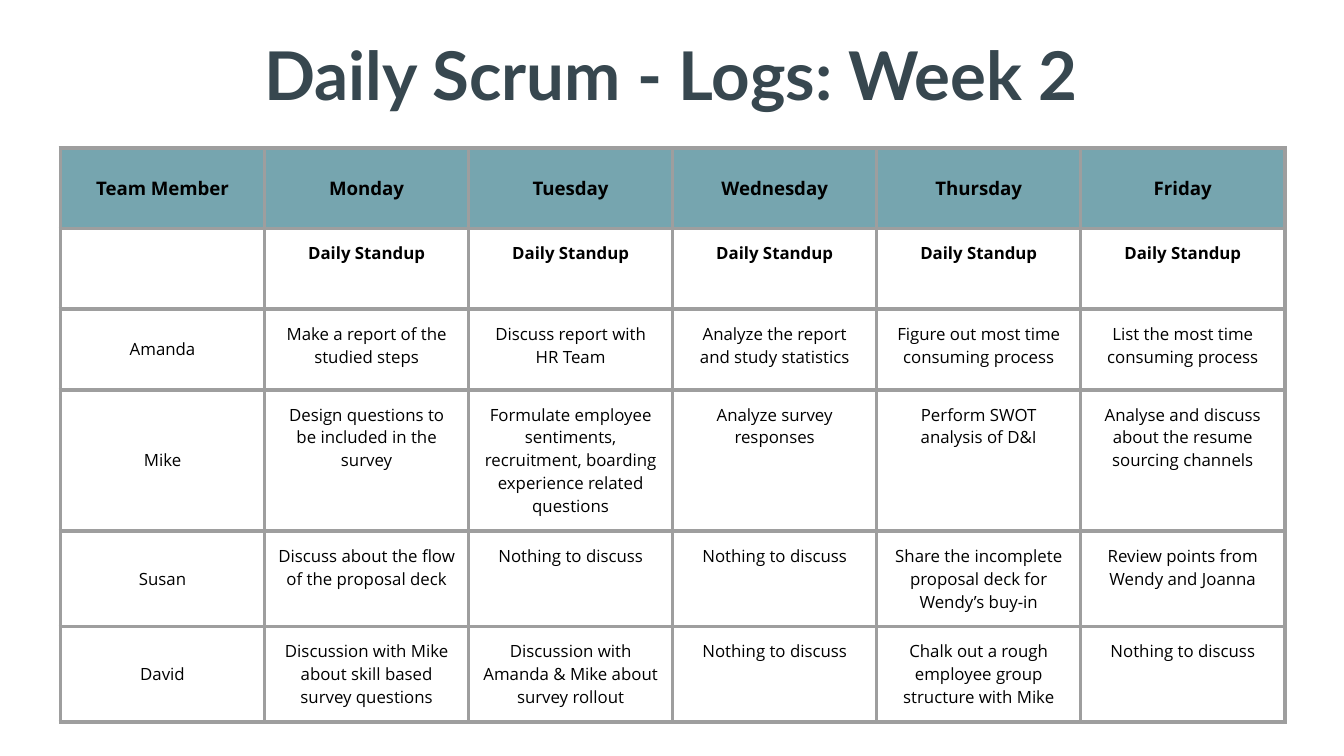
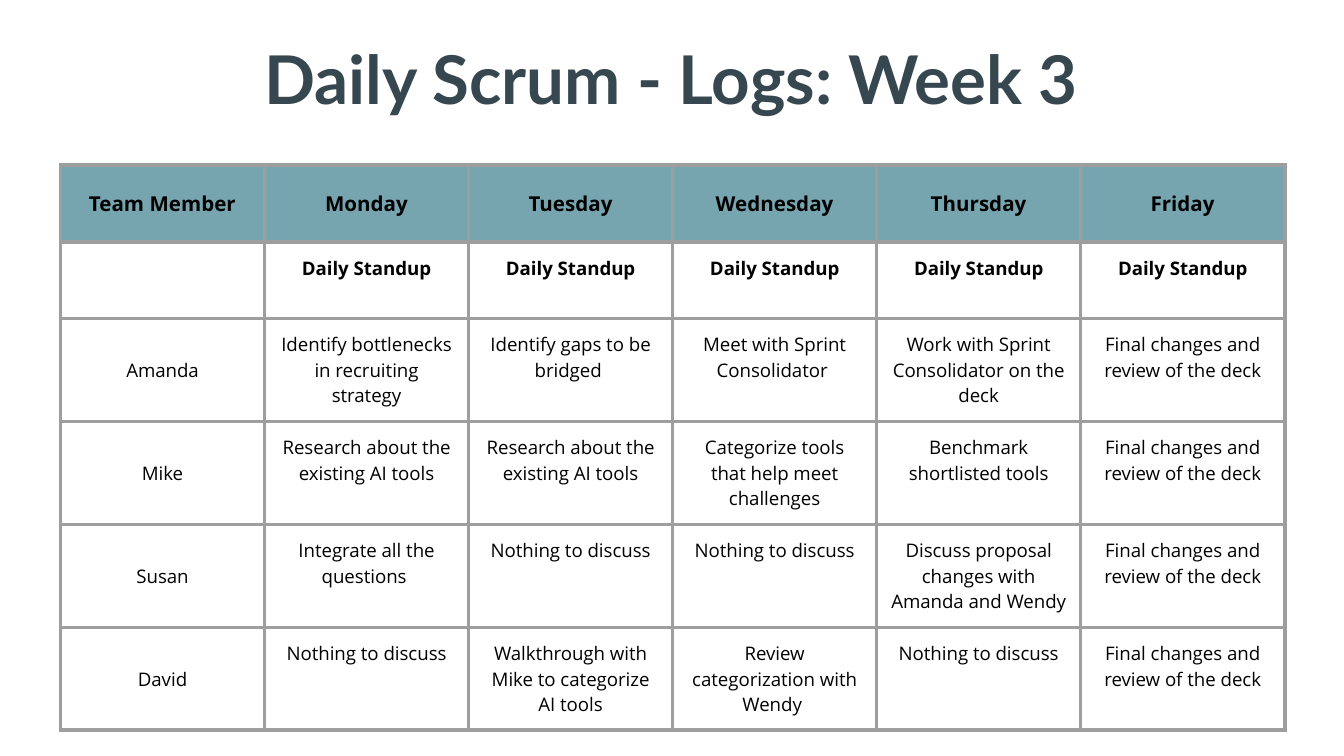
from pptx import Presentation
from pptx.dml.color import RGBColor
from pptx.enum.text import MSO_ANCHOR, MSO_AUTO_SIZE, PP_ALIGN
from pptx.oxml import parse_xml
from pptx.oxml.ns import nsdecls
from pptx.util import Inches, Pt

SLATE, TEAL, GREY, BLACK = "37474F", "76A5AF", "9E9E9E", "000000"
BORDER_WIDTH = Pt(2.25)
TABLE_WIDTH = 9.11
MARGINS = {f"margin_{side}": Inches(0.1) for side in ("left", "top", "right", "bottom")}

HEADER = ["Team Member", "Monday", "Tuesday", "Wednesday", "Thursday", "Friday"]
STANDUP = [""] + ["Daily Standup"] * 5
NOTHING = "Nothing to discuss"
FINAL = "Final changes and review of the deck"

weeks = [
    {
        "title": "Daily Scrum - Logs: Week 2",
        "title_top": 0.08,
        "table_top": 1.1,
        "table_height": 4.09,
        "row_heights": [0.6, 0.6, 0.6, 0.97, 0.66, 0.66],
        "header_size": 10,
        "body_size": 9,
        "logs": [
            ["Amanda", "Make a report of the studied steps",
             "Discuss report with HR Team",
             "Analyze the report and study statistics",
             "Figure out most time consuming process",
             "List the most time consuming process"],
            ["Mike", "Design questions to be included in the survey",
             "Formulate employee sentiments, recruitment, boarding experience related questions",
             "Analyze survey responses",
             "Perform SWOT analysis of D&I",
             "Analyse and discuss about the resume sourcing channels"],
            ["Susan", "Discuss about the flow of the proposal deck",
             NOTHING, NOTHING,
             "Share the incomplete proposal deck for Wendy’s buy-in",
             "Review points from Wendy and Joanna"],
            ["David", "Discussion with Mike about skill based survey questions",
             "Discussion with Amanda & Mike about survey rollout",
             NOTHING,
             "Chalk out a rough employee group structure with Mike",
             NOTHING],
        ],
    },
    {
        "title": "Daily Scrum - Logs: Week 3",
        "title_top": 0.11,
        "table_top": 1.23,
        "table_height": 3.95,
        "row_heights": [0.57] * 6,
        "header_size": 11,
        "body_size": 10,
        "logs": [
            ["Amanda", "Identify bottlenecks in recruiting strategy",
             "Identify gaps to be bridged ",
             "Meet with Sprint Consolidator ",
             "Work with Sprint Consolidator on the deck", FINAL],
            ["Mike", "Research about the existing AI tools",
             "Research about the existing AI tools",
             "Categorize tools that help meet challenges",
             "Benchmark shortlisted tools", FINAL],
            ["Susan", "Integrate all the questions ", NOTHING, NOTHING,
             "Discuss proposal changes with Amanda and Wendy", FINAL],
            ["David", NOTHING, "Walkthrough with Mike to categorize AI tools",
             "Review categorization with Wendy ", NOTHING, FINAL],
        ],
    },
]


def write(frame, text, color, **font_format):
    para = frame.paragraphs[0]
    para.alignment = PP_ALIGN.CENTER
    if not text:
        return
    span = para.add_run()
    span.text = text
    for name, value in font_format.items():
        setattr(span.font, name, value)
    span.font.color.rgb = RGBColor.from_string(color)


def add_borders(cell):
    properties = cell._tc.get_or_add_tcPr()
    for side in "LRTB":
        properties.append(parse_xml(
            f'<a:ln{side} {nsdecls("a")} w="{BORDER_WIDTH}"><a:solidFill>'
            f'<a:srgbClr val="{GREY}"/></a:solidFill></a:ln{side}>'))


deck = Presentation()
deck.slide_width, deck.slide_height = Inches(10), Inches(10 * 9 / 16)

for week in weeks:
    page = deck.slides.add_slide(deck.slide_layouts[5])

    title = page.shapes.title
    title_place = {"left": 0.16, "top": week["title_top"], "width": 9.67, "height": 0.93}
    for name, value in title_place.items():
        setattr(title, name, Inches(value))
    frame_format = {"word_wrap": True, "auto_size": MSO_AUTO_SIZE.NONE,
                    "vertical_anchor": MSO_ANCHOR.MIDDLE, **MARGINS}
    for name, value in frame_format.items():
        setattr(title.text_frame, name, value)
    write(title.text_frame, week["title"], SLATE, name="Lato", size=Pt(36), bold=True)

    rows = [HEADER, STANDUP, *week["logs"]]
    table_box = page.shapes.add_table(
        len(rows), len(HEADER), Inches(0.45), Inches(week["table_top"]),
        Inches(TABLE_WIDTH), Inches(week["table_height"]))
    table = table_box.table
    table.first_row = table.horz_banding = False
    for column in table.columns:
        column.width = Inches(TABLE_WIDTH / len(HEADER))

    for row_index, texts in enumerate(rows):
        table.rows[row_index].height = Inches(week["row_heights"][row_index])
        is_header = row_index == 0
        size = week["header_size"] if is_header else week["body_size"]
        for column_index, text in enumerate(texts):
            cell = table.cell(row_index, column_index)
            centred = is_header or column_index == 0
            anchor = MSO_ANCHOR.MIDDLE if centred else MSO_ANCHOR.TOP
            for name, value in {"vertical_anchor": anchor, **MARGINS}.items():
                setattr(cell, name, value)
            add_borders(cell)
            if is_header:
                cell.fill.solid()
                cell.fill.fore_color.rgb = RGBColor.from_string(TEAL)
            else:
                cell.fill.background()
            write(cell.text_frame, text, BLACK, name="Open Sans",
                  size=Pt(size), bold=row_index < 2)
    table_box.height = Inches(week["table_height"])

deck.save("out.pptx")
